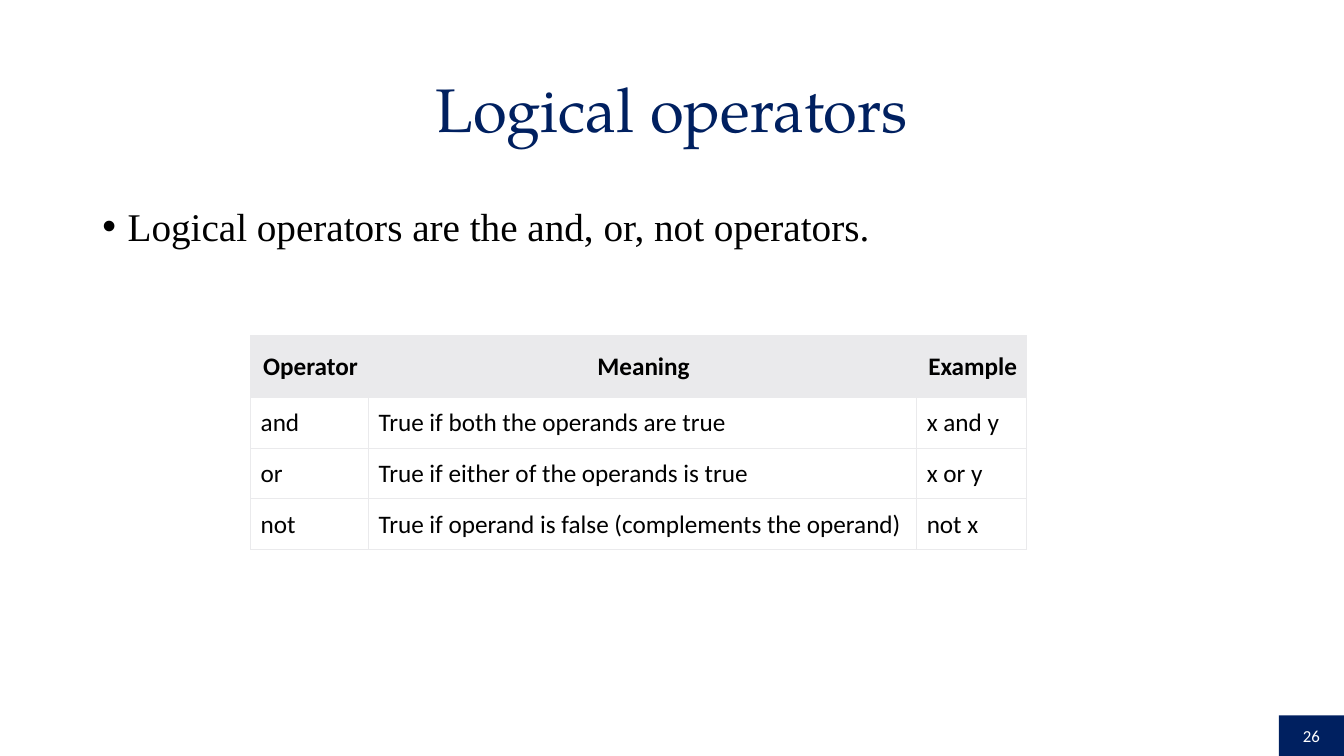
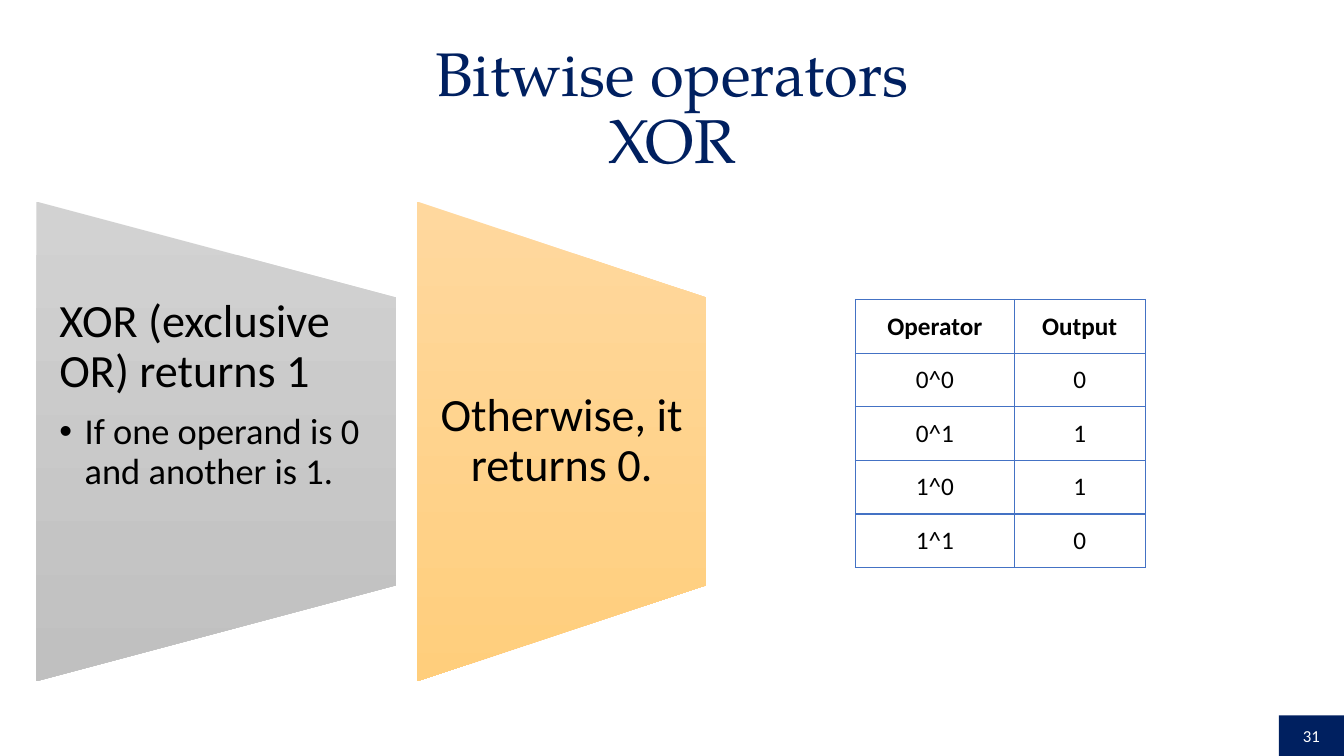
from pptx import Presentation
from pptx.dml.color import RGBColor
from pptx.enum.shapes import MSO_SHAPE
from pptx.enum.text import MSO_ANCHOR, MSO_AUTO_SIZE, PP_ALIGN
from pptx.oxml.ns import qn
from pptx.util import Pt
from lxml import etree

LEFT, CENTER = PP_ALIGN.LEFT, PP_ALIGN.CENTER
TOP, MIDDLE = MSO_ANCHOR.TOP, MSO_ANCHOR.MIDDLE
RECTANGLE = MSO_SHAPE.RECTANGLE
NO_AUTOFIT = MSO_AUTO_SIZE.NONE

SLIDE_WIDTH, SLIDE_HEIGHT = 960, 540
CONTENT_LAYOUT, TITLE_LAYOUT = 1, 5
NAVY, BLACK, WHITE = "002060", "000000", "FFFFFF"
PALE_GRAY, BLUE = "EAEAEC", "4472C4"
GRAY_GRADIENT = ("D2D2D2", "C0C0C0")
ORANGE_GRADIENT = ("FFD89E", "FFCE7C")
TITLE_FONT, LIST_FONT, BASE_FONT = "TeX Gyre Pagella", "Times New Roman", "Calibri"


def color(value):
    return RGBColor.from_string(value)


def write(paragraph, text, size=18, font=BASE_FONT, fill=BLACK, bold=False,
          align=LEFT, line_spacing=1.0, before=0, after=0, bullet=False):
    paragraph.text = text
    paragraph.alignment = align
    paragraph.line_spacing = line_spacing
    paragraph.space_before, paragraph.space_after = Pt(before), Pt(after)
    for run in paragraph.runs:
        run.font.size, run.font.name, run.font.bold = Pt(size), font, bold
        run.font.color.rgb = color(fill)
    if bullet:
        add_bullet(paragraph)


def add_bullet(paragraph, indent=18):
    properties = paragraph._p.get_or_add_pPr()
    properties.set("marL", str(Pt(indent)))
    properties.set("indent", str(-Pt(indent)))
    etree.SubElement(properties, qn("a:buFont")).set("typeface", "Arial")
    etree.SubElement(properties, qn("a:buChar")).set("char", "•")


def place(shape, box):
    shape.left, shape.top, shape.width, shape.height = map(Pt, box)


def set_margins(target, margins):
    (target.margin_left, target.margin_top,
     target.margin_right, target.margin_bottom) = map(Pt, margins)


def fill_placeholder(placeholder, box, text, anchor, **text_format):
    place(placeholder, box)
    frame = placeholder.text_frame
    frame.auto_size, frame.vertical_anchor = NO_AUTOFIT, anchor
    write(frame.paragraphs[0], text, line_spacing=0.9, **text_format)


def add_page_number(slide, number, width=46.5, height=29):
    box = (SLIDE_WIDTH - width, SLIDE_HEIGHT - height, width, height)
    shape = slide.shapes.add_shape(RECTANGLE, *map(Pt, box))
    shape.shadow.inherit = False
    shape.fill.solid()
    shape.fill.fore_color.rgb = color(NAVY)
    shape.line.fill.background()
    shape.text_frame.vertical_anchor = MIDDLE
    write(shape.text_frame.paragraphs[0], str(number), size=12, fill=WHITE, align=CENTER)


def add_titled_slide(presentation, layout, title, title_top, number):
    slide = presentation.slides.add_slide(presentation.slide_layouts[layout])
    fill_placeholder(slide.shapes.title, (66, title_top, 828, 104.4), title, MIDDLE,
                     size=44, font=TITLE_FONT, fill=NAVY, align=CENTER)
    add_page_number(slide, number)
    return slide


def set_borders(cell, line_color, width):
    properties = cell._tc.get_or_add_tcPr()
    for position, side in enumerate(("lnL", "lnR", "lnT", "lnB")):
        line = etree.Element(qn(f"a:{side}"), w=str(Pt(width)))
        fill = etree.SubElement(line, qn("a:solidFill"))
        etree.SubElement(fill, qn("a:srgbClr")).set("val", line_color)
        properties.insert(position, line)


def add_grid(slide, left, top, rows, column_widths, row_heights, border,
             header_margins, body_margins, header_fill=None, body_fill=None,
             body_align=LEFT):
    """Add a table with a bold, centred header row."""
    box = (left, top, sum(column_widths), sum(row_heights))
    table = slide.shapes.add_table(len(rows), len(column_widths), *map(Pt, box)).table
    table.first_row = table.horz_banding = False
    for column, width in zip(table.columns, column_widths):
        column.width = Pt(width)
    for row_index, (row, values, height) in enumerate(zip(table.rows, rows, row_heights)):
        row.height = Pt(height)
        header = row_index == 0
        cell_fill = header_fill if header else body_fill
        for cell, value in zip(row.cells, values):
            set_margins(cell, header_margins if header else body_margins)
            cell.vertical_anchor = MIDDLE
            if cell_fill:
                cell.fill.solid()
                cell.fill.fore_color.rgb = color(cell_fill)
            else:
                cell.fill.background()
            set_borders(cell, *border)
            write(cell.text_frame.paragraphs[0], value, bold=header,
                  align=CENTER if header else body_align)


def add_tapered_panel(slide, box, gradient, anchor, paragraphs):
    """Add a panel whose right side is shorter by a fifth at each end."""
    left, top, width, height = box
    right, bottom, taper = left + width, top + height, height / 5
    builder = slide.shapes.build_freeform(Pt(left), Pt(bottom))
    corners = ((left, top), (right, top + taper), (right, bottom - taper))
    builder.add_line_segments([(Pt(x), Pt(y)) for x, y in corners], close=True)
    panel = builder.convert_to_shape()
    panel.shadow.inherit = False
    panel.line.fill.background()
    panel.fill.gradient()
    panel.fill.gradient_angle = 270
    for stop, stop_color in zip(panel.fill.gradient_stops, gradient):
        stop.color.rgb = color(stop_color)
    frame = panel.text_frame
    frame.word_wrap, frame.vertical_anchor = True, anchor
    set_margins(frame, (16.5, taper, 16.5, taper))
    for index, (text, text_format) in enumerate(paragraphs):
        paragraph = frame.add_paragraph() if index else frame.paragraphs[0]
        write(paragraph, text, line_spacing=0.9, **text_format)


def build_logical_operators(presentation):
    slide = add_titled_slide(presentation, CONTENT_LAYOUT, "Logical operators", 28, 26)
    fill_placeholder(slide.placeholders[1], (66, 144.5, 828, 342.6),
                     "Logical operators are the and, or, not operators.", TOP,
                     size=28, font=LIST_FONT, before=10, bullet=True)
    rows = (("Operator", "Meaning", "Example"),
            ("and", "True if both the operands are true", "x and y"),
            ("or", "True if either of the operands is true", "x or y"),
            ("not", "True if operand is false (complements the operand)", "not x"))
    add_grid(slide, 179, 239.7, rows, (84.2, 391.6, 78.6), (43.6, 36.1, 36.1, 36.1),
             border=(PALE_GRAY, 0.75), header_margins=(7.2, 11.5, 5.8, 10.8),
             body_margins=(7.2, 7.2, 5.8, 6.5), header_fill=PALE_GRAY, body_fill=WHITE)


def build_bitwise_xor(presentation):
    slide = add_titled_slide(presentation, TITLE_LAYOUT, "Bitwise operators\vXOR", 26.5, 31)
    top, height = 144, 342.6
    heading = {"size": 33, "after": 11.5}
    add_tapered_panel(slide, (26, top, 257, height), GRAY_GRADIENT, TOP, (
        ("XOR (exclusive OR) returns 1", heading),
        ("If one operand is 0 and another is 1.", {"size": 26, "after": 4, "bullet": True})))
    add_tapered_panel(slide, (298, top, 206.5, height), ORANGE_GRADIENT, MIDDLE, (
        ("Otherwise, it returns 0.", {**heading, "align": CENTER}),))
    rows = [("Operator", "Output")]
    rows += [(f"{a}^{b}", str(a ^ b)) for a in (0, 1) for b in (0, 1)]
    margins = (3.6,) * 4
    add_grid(slide, 611, 214, rows, (113.5, 93.5), (38.3,) * len(rows), border=(BLUE, 1),
             header_margins=margins, body_margins=margins, body_align=CENTER)


def main():
    presentation = Presentation()
    presentation.slide_width, presentation.slide_height = Pt(SLIDE_WIDTH), Pt(SLIDE_HEIGHT)
    build_logical_operators(presentation)
    build_bitwise_xor(presentation)
    presentation.save("out.pptx")


if __name__ == "__main__":
    main()
